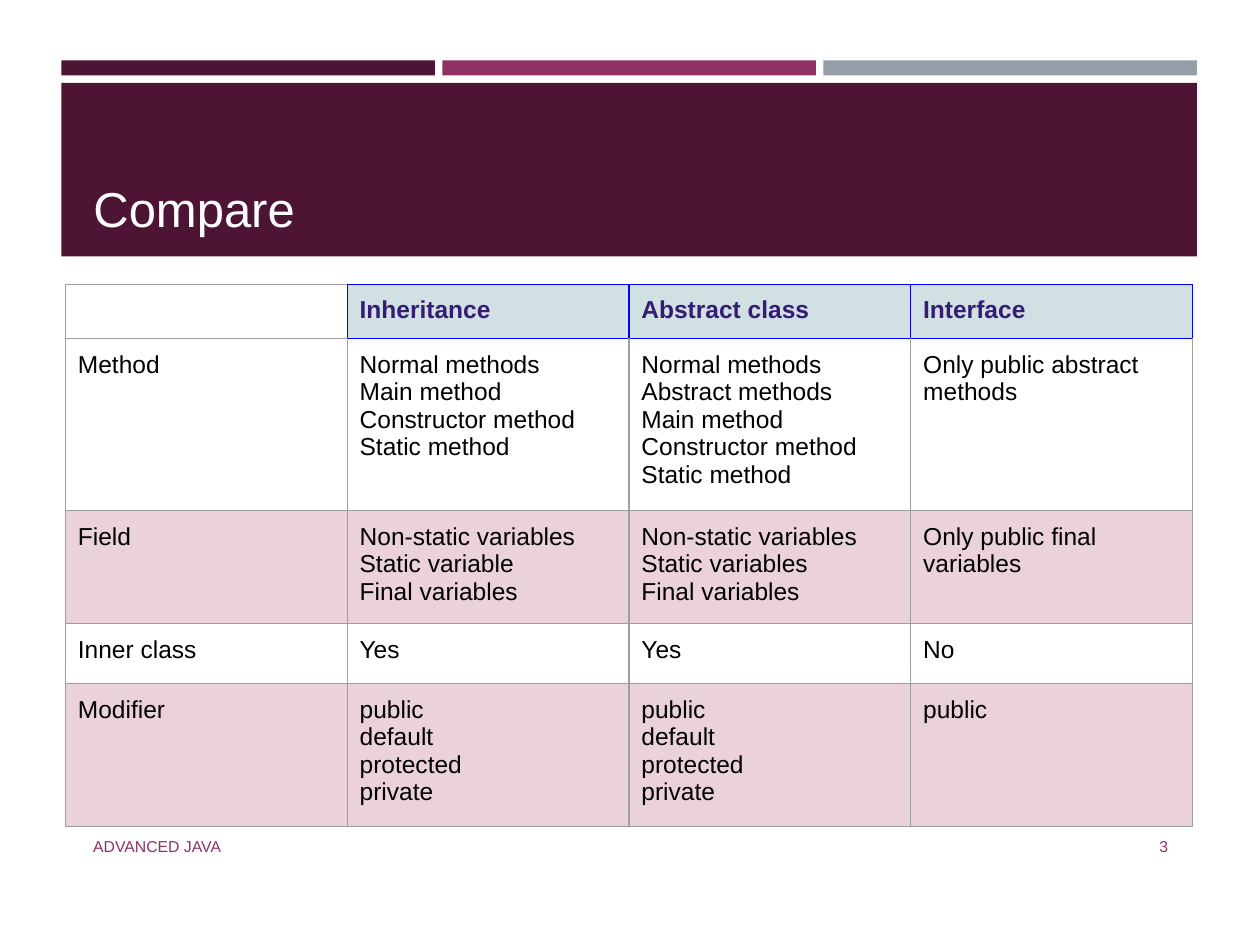
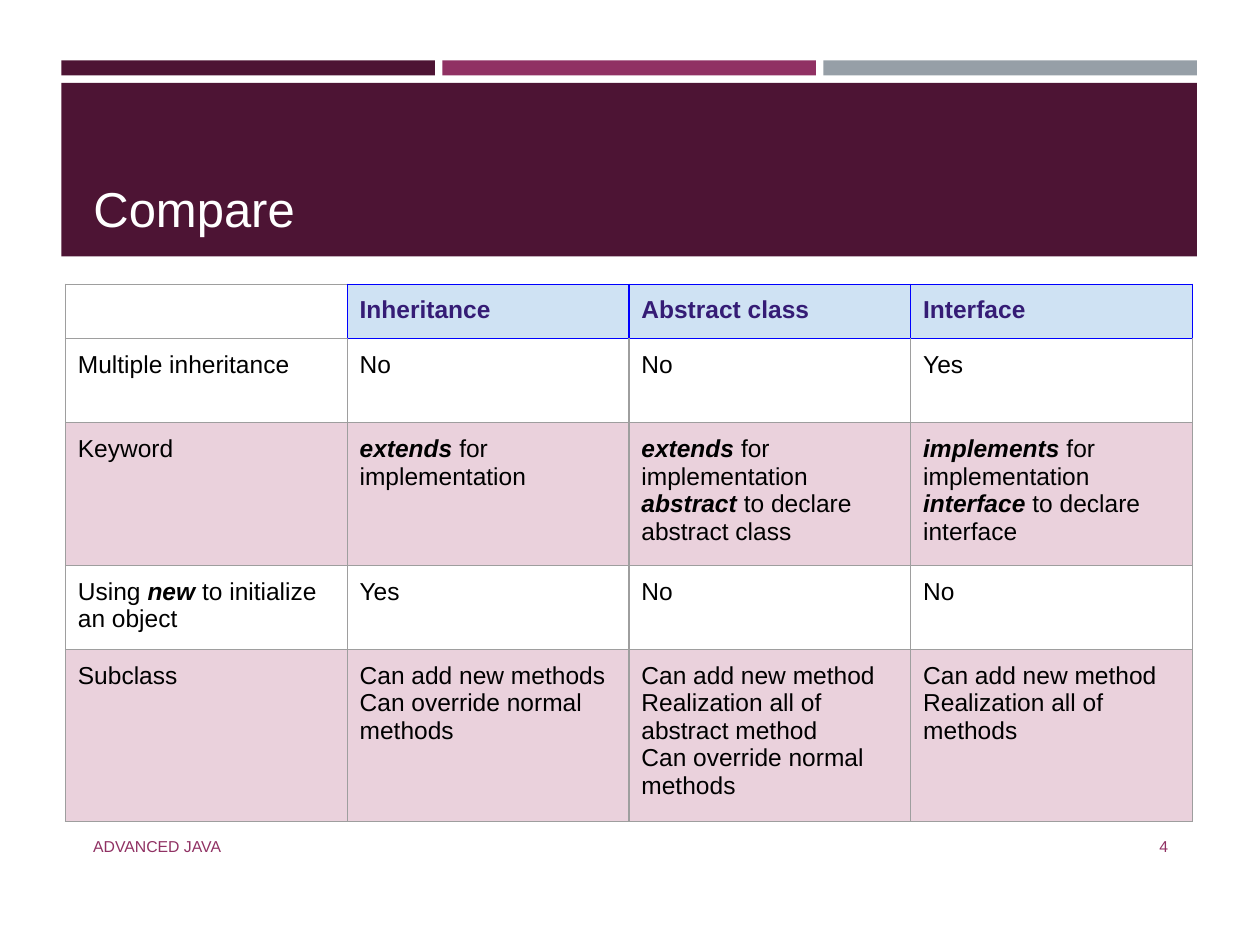
from dataclasses import dataclass

from lxml import etree
from pptx import Presentation
from pptx import util as u
from pptx.dml.color import RGBColor
from pptx.enum import shapes, text
from pptx.oxml.ns import qn


@dataclass(frozen=True)
class Theme:
    font: str = "Arial"
    plum: str = "4D1434"
    berry: str = "903163"
    slate: str = "969FA7"
    white: str = "FFFFFF"
    ink: str = "000000"
    heading: str = "351C75"
    heading_line: str = "0000FF"
    grid: str = "9E9E9E"
    stripe: str = "EAD1DC"
    title_size: int = 28
    table_size: int = 14
    footer_size: int = 9
    line_width: float = 0.75


T = Theme()
LEFT, BAND_W, BAND_GAP = 1.24, 7.53, 0.15
TEXT_LEFT = 1.63
COLUMN_W = 5.68
HEADINGS = ["", "Inheritance", "Abstract class", "Interface"]

# Line breaks separate paragraphs; asterisks enclose Java keywords.
MEMBERS = [
    HEADINGS,
    ["Method",
     "Normal methods\nMain method\nConstructor method\nStatic method",
     "Normal methods\nAbstract methods\nMain method\nConstructor method\nStatic method",
     "Only public abstract methods"],
    ["Field",
     "Non-static variables\nStatic variable\nFinal variables",
     "Non-static variables\nStatic variables\nFinal variables",
     "Only public final variables"],
    ["Inner class", "Yes", "Yes", "No"],
    ["Modifier",
     "public\ndefault\nprotected\nprivate",
     "public\ndefault\nprotected\nprivate",
     "public"],
]
USAGE = [
    HEADINGS,
    ["Multiple inheritance", "No", "No", "Yes"],
    ["Keyword",
     "*extends* for implementation",
     "*extends* for implementation\n*abstract* to declare abstract class",
     "*implements* for implementation\n*interface* to declare interface"],
    ["Using *new* to initialize an object", "Yes", "No", "No"],
    ["Subclass",
     "Can add new methods\nCan override normal methods",
     "Can add new method\nRealization all of abstract method\nCan override normal methods",
     "Can add new method\nRealization all of methods"],
]


def rgb(color):
    return RGBColor.from_string(color)


def write(tf, content, size, color, bold=False, align=text.PP_ALIGN.LEFT):
    """Fill a text frame; parts between asterisks become bold italic."""
    tf.word_wrap = True
    for i, line in enumerate(content.split("\n")):
        p = tf.paragraphs[0] if i == 0 else tf.add_paragraph()
        p.alignment = align
        for j, part in enumerate(line.split("*")):
            if not part:
                continue
            keyword = j % 2 == 1
            r = p.add_run()
            r.text = part
            r.font.name = T.font
            r.font.size = u.Pt(size)
            r.font.color.rgb = rgb(color)
            r.font.bold = bold or keyword
            r.font.italic = keyword


def add_band(s, left, top, width, height, color):
    """Add a plain bar behind the title."""
    sp = s.shapes.add_shape(shapes.MSO_SHAPE.RECTANGLE, u.Cm(left), u.Cm(top),
                            u.Cm(width), u.Cm(height))
    sp.shadow.inherit = False
    sp.fill.solid()
    sp.fill.fore_color.rgb = rgb(color)
    sp.line.fill.background()
    s.shapes.title.element.addprevious(sp.element)


def add_title(s, content):
    title = s.shapes.title
    title.left, title.top = u.Cm(TEXT_LEFT), u.Cm(1.91)
    title.width, title.height = u.Cm(22.2), u.Cm(3)
    tf = title.text_frame
    tf.auto_size = text.MSO_AUTO_SIZE.NONE
    tf.vertical_anchor = text.MSO_ANCHOR.BOTTOM
    write(tf, content, T.title_size, T.white)


def add_footer(s, content, left, width, align):
    box = s.shapes.add_textbox(u.Cm(left), u.Cm(16.54), u.Cm(width), u.Cm(1.02))
    box.text_frame.vertical_anchor = text.MSO_ANCHOR.MIDDLE
    write(box.text_frame, content, T.footer_size, T.berry, align=align)


def set_borders(cell, **colors):
    """Draw the cell's sides; call before filling, as the XML order matters."""
    tc_pr = cell._tc.get_or_add_tcPr()
    for side in "LRTB":
        ln = etree.SubElement(tc_pr, qn(f"a:ln{side}"), w=str(u.Pt(T.line_width)))
        fill = etree.SubElement(ln, qn("a:solidFill"))
        etree.SubElement(fill, qn("a:srgbClr"), val=colors.get(side, T.grid))


def format_cell(cell, content, row, col, heading_fill):
    is_heading = row == 0 and col > 0
    if is_heading:
        set_borders(cell, **dict.fromkeys("LRTB", T.heading_line))
        fill = heading_fill
    else:
        edges = {"R": T.heading_line} if row == 0 else {}
        if row == 1 and col > 0:
            edges["T"] = T.heading_line
        set_borders(cell, **edges)
        fill = T.stripe if row and row % 2 == 0 else T.white
    cell.fill.solid()
    cell.fill.fore_color.rgb = rgb(fill)
    if content:
        cell.margin_left = cell.margin_right = u.Cm(0.25)
        cell.margin_top = cell.margin_bottom = u.Cm(0.25)
        write(cell.text_frame, content, T.table_size,
              T.heading if is_heading else T.ink, bold=is_heading)


def add_comparison(s, rows, heights, heading_fill):
    columns = len(HEADINGS)
    table = s.shapes.add_table(len(rows), columns, u.Cm(1.32), u.Cm(5.73),
                               u.Cm(columns * COLUMN_W), u.Cm(sum(heights))).table
    table.first_row = table.horz_banding = False
    for column in table.columns:
        column.width = u.Cm(COLUMN_W)
    for i, (row, height) in enumerate(zip(rows, heights)):
        table.rows[i].height = u.Cm(height)
        for j, content in enumerate(row):
            format_cell(table.cell(i, j), content, i, j, heading_fill)


def add_compare_slide(prs, number, rows, heights, heading_fill):
    s = prs.slides.add_slide(prs.slide_layouts.get_by_name("Title Only"))
    for i, color in enumerate([T.plum, T.berry, T.slate]):
        add_band(s, LEFT + i * (BAND_W + BAND_GAP), 1.22, BAND_W, 0.3, color)
    add_band(s, LEFT, 1.67, 3 * BAND_W + 2 * BAND_GAP, 3.5, T.plum)
    add_title(s, "Compare")
    add_footer(s, "ADVANCED JAVA", TEXT_LEFT, 13.54, text.PP_ALIGN.LEFT)
    add_footer(s, str(number), 21.67, 2.13, text.PP_ALIGN.RIGHT)
    add_comparison(s, rows, heights, heading_fill)


def main():
    prs = Presentation()
    prs.slide_width, prs.slide_height = u.Cm(25.4), u.Cm(19.05)
    add_compare_slide(prs, 3, MEMBERS, [1.09, 3.38, 2.23, 1.21, 2.8], "D0E0E3")
    add_compare_slide(prs, 4, USAGE, [1.09, 1.7, 2.8, 1.7, 3.38], "CFE2F3")
    prs.save("out.pptx")


if __name__ == "__main__":
    main()
